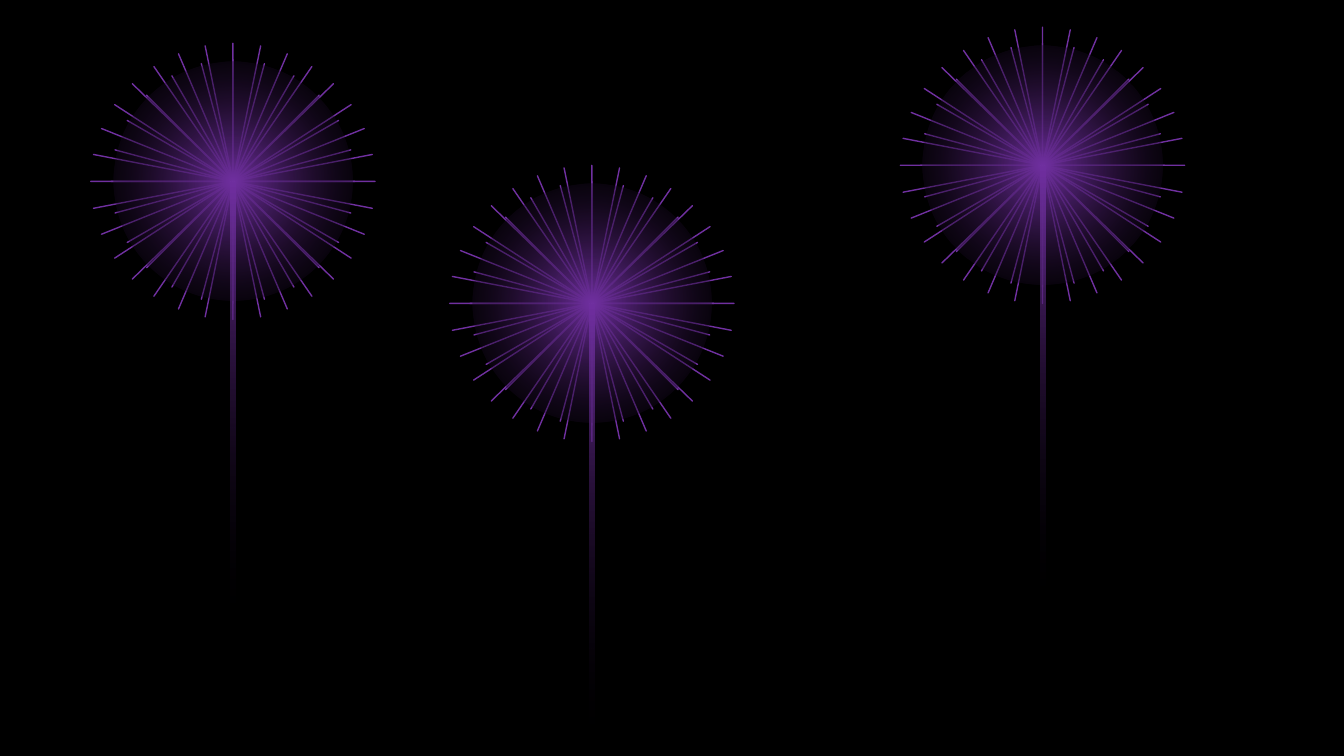
from pptx import Presentation
from pptx.dml.color import RGBColor
from pptx.enum import shapes
from pptx.oxml import parse_xml
from pptx.oxml.ns import nsdecls
from pptx.util import Inches, Pt

COLORS = {"night": "000000", "purple": "7030A0", "dusk": "240F33", "core": "5B9BD5"}
SHAPE = shapes.MSO_SHAPE

RADIAL = ('<a:path path="circle">'
          '<a:fillToRect l="50000" t="50000" r="50000" b="50000"/></a:path>')
DOWNWARD = '<a:lin ang="5400000" scaled="0"/>'
GLOW_STOPS = [(0, "purple", 100), (60, "dusk", 50), (100, "night", 0)]
TRAIL_STOPS = [(0, "purple", 100), (100, "night", 0)]

BURST_W, BURST_H = 2.82, 2.74
INNER_SIZE = 2.42
GLOW_SIZE = 2.37
TRAIL_W, TRAIL_H = 0.05, 4.57
FIREWORKS = [(0.9, 0.43), (4.46, 1.64), (8.93, 0.27)]


def rgb(name):
    return RGBColor.from_string(COLORS[name])


def add_plain(parent, kind, x, y, w, h):
    """Add a shape without shadow, fill or line."""
    sp = parent.add_shape(kind, Inches(x), Inches(y), Inches(w), Inches(h))
    sp.shadow.inherit = False
    sp.fill.background()
    sp.line.fill.background()
    return sp


def add_centred(parent, kind, cx, cy, w, h):
    return add_plain(parent, kind, cx - w / 2, cy - h / 2, w, h)


def set_gradient(sp, stops, direction):
    """Fill with (position %, colour, opacity %) stops."""
    gs = "".join(
        f'<a:gs pos="{pos * 1000}"><a:srgbClr val="{COLORS[name]}">'
        f'<a:alpha val="{opacity * 1000}"/></a:srgbClr></a:gs>'
        for pos, name, opacity in stops)
    grad = parse_xml(f'<a:gradFill {nsdecls("a")} rotWithShape="1">'
                     f'<a:gsLst>{gs}</a:gsLst>{direction}</a:gradFill>')
    spPr = sp._element.spPr
    spPr.replace(spPr.find("{*}noFill"), grad)


def add_rays(parent, kind, cx, cy, w, h):
    """Add a star so sharp that only its rays show."""
    sp = add_centred(parent, kind, cx, cy, w, h)
    sp.adjustments[0] = 0
    sp.line.color.rgb = rgb("purple")
    sp.line.width = Pt(1)
    return sp


def add_firework(s, left, top):
    """Place a burst with its trail; left and top are those of the burst."""
    cx, cy = left + BURST_W / 2, top + BURST_H / 2
    burst = s.shapes.add_group_shape().shapes
    outer = add_rays(burst, SHAPE.STAR_32_POINT, cx, cy, BURST_W, BURST_H)
    outer.fill.solid()
    outer.fill.fore_color.rgb = rgb("core")
    add_rays(burst, SHAPE.STAR_24_POINT, cx, cy, INNER_SIZE, INNER_SIZE)
    glow = add_centred(burst, SHAPE.OVAL, cx, cy, GLOW_SIZE, GLOW_SIZE)
    set_gradient(glow, GLOW_STOPS, RADIAL)
    trail = add_plain(s.shapes, SHAPE.RECTANGLE, cx - TRAIL_W / 2, cy, TRAIL_W, TRAIL_H)
    set_gradient(trail, TRAIL_STOPS, DOWNWARD)


def main():
    prs = Presentation()
    prs.slide_width, prs.slide_height = Inches(13.33), Inches(7.5)
    s = prs.slides.add_slide(prs.slide_layouts[6])
    s.background.fill.solid()
    s.background.fill.fore_color.rgb = rgb("night")
    for left, top in FIREWORKS:
        add_firework(s, left, top)
    prs.save("out.pptx")


if __name__ == "__main__":
    main()
